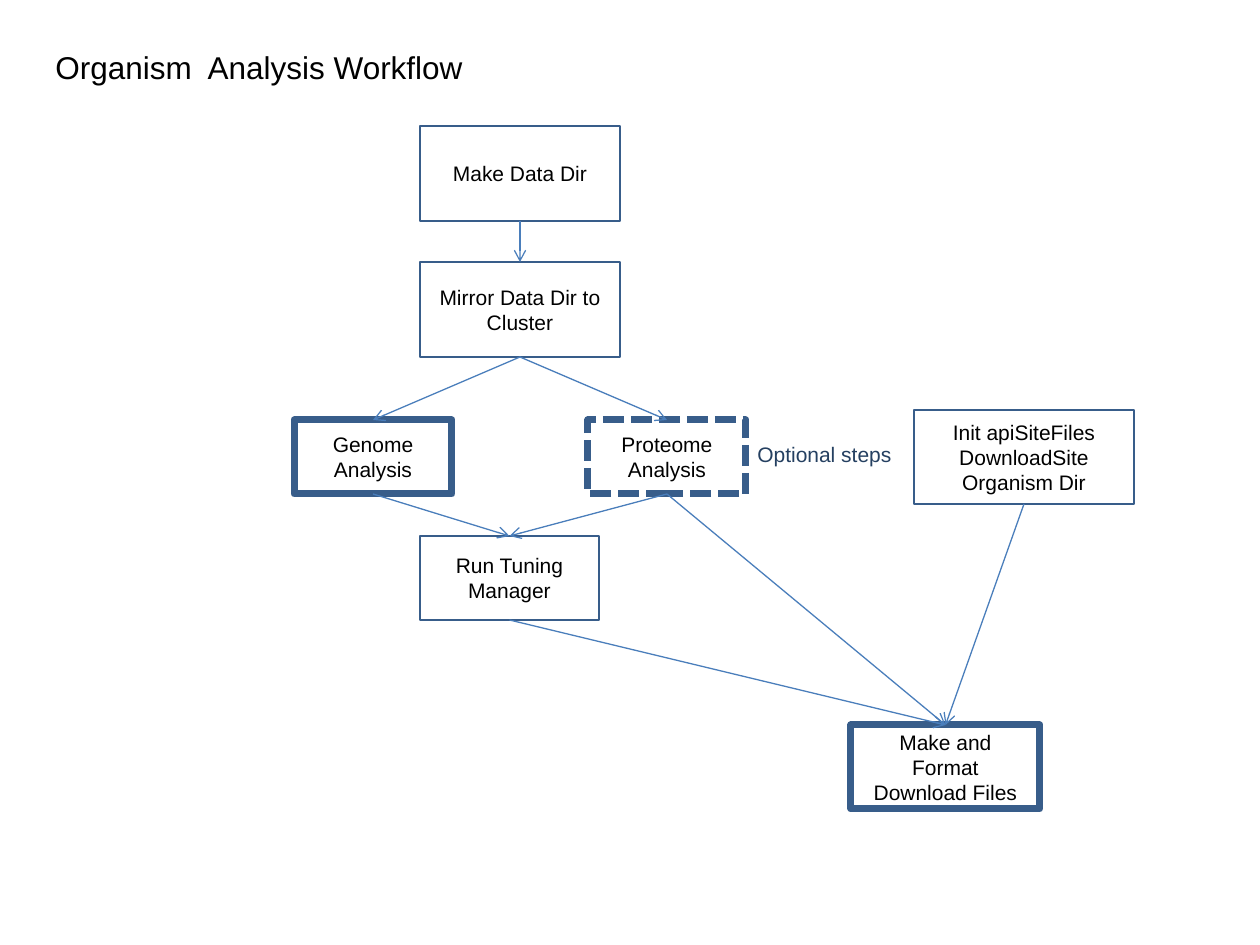
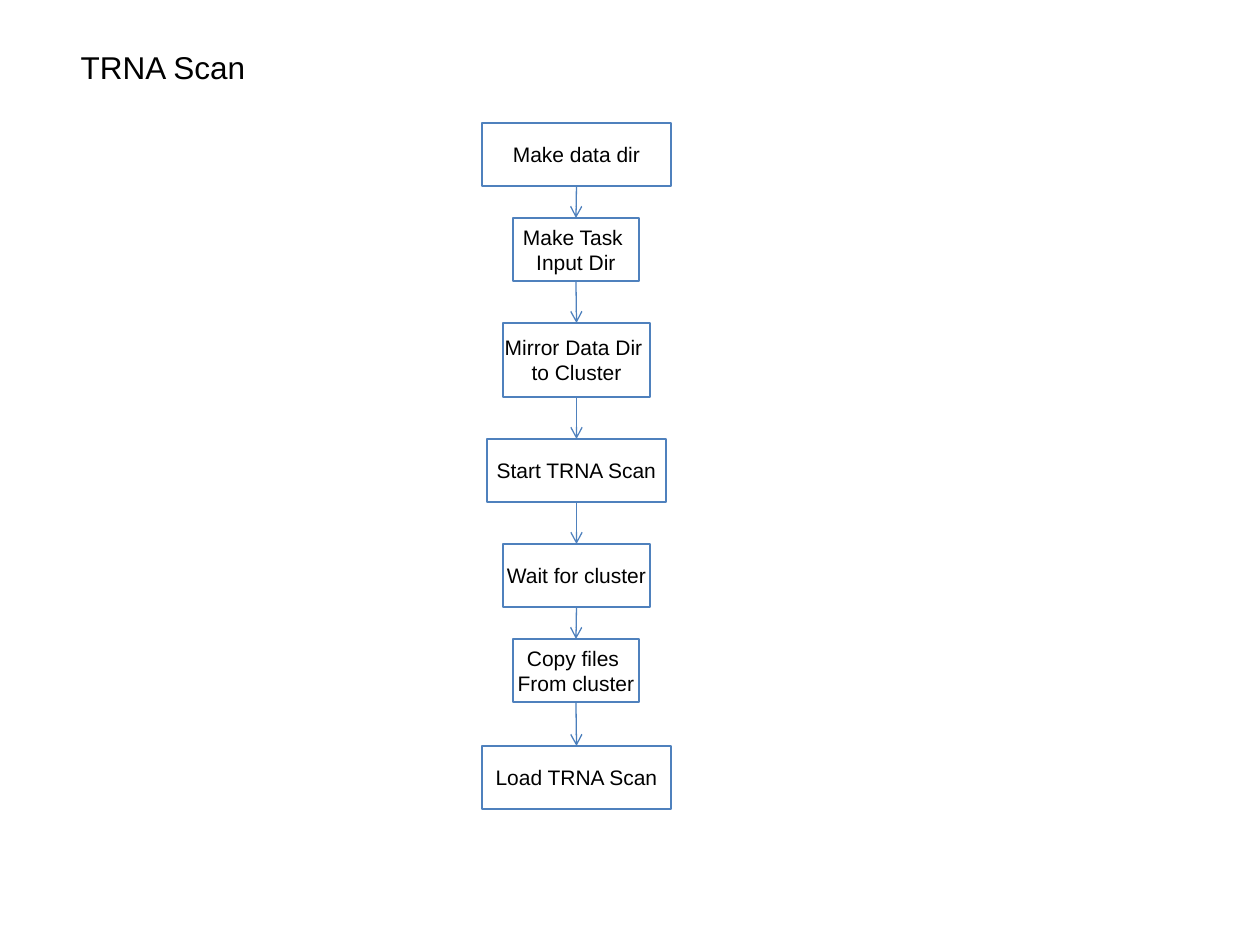
"""Build the organism analysis workflow and TRNA scan flowcharts."""
from dataclasses import dataclass
from typing import Any

from lxml.etree import SubElement
from pptx import Presentation
from pptx.dml.color import RGBColor
from pptx.enum.dml import MSO_LINE
from pptx.enum.shapes import MSO_CONNECTOR as Conn, MSO_SHAPE as Shape
from pptx.enum.text import MSO_ANCHOR as Anchor, MSO_AUTO_SIZE as AutoSize, PP_ALIGN as Align
from pptx.oxml.ns import qn
from pptx.util import Emu, Pt

EMU_PER_INCH = 914400
PX_PER_INCH = 126
BLACK = RGBColor(0x00, 0x00, 0x00)
WHITE = RGBColor(0xFF, 0xFF, 0xFF)
NAVY = RGBColor(0x25, 0x40, 0x61)
BOX_LINE = RGBColor(0x38, 0x5D, 0x8A)
ARROW = RGBColor(0x4A, 0x7E, 0xBB)
STEP_LINE = RGBColor(0x4F, 0x81, 0xBD)
TOP, BOTTOM = 0, 2
BODY = {"name": "Arial", "size": Pt(12)}
HEADING = {"name": "Arial", "size": Pt(18)}
STEP_CENTER = 576
FIRST_STEP_TOP = 123


@dataclass(frozen=True)
class Box:
    text: str
    left: int
    top: int
    width: int
    height: int
    weight: float = 1
    line: RGBColor = BOX_LINE
    fill: RGBColor | None = None
    dashed: bool = False
    wrap: bool = True


@dataclass(frozen=True)
class Label:
    text: str
    left: int
    top: int
    width: int
    height: int
    font: dict[str, Any]
    color: RGBColor = BLACK
    align: Align = Align.CENTER
    anchor: Anchor = Anchor.TOP
    wrap: bool = True


@dataclass(frozen=True)
class Step:
    text: str
    width: int
    height: int = 63
    gap: int = 42
    arrow: RGBColor = STEP_LINE


WORKFLOW = {
    "data": Box("Make Data Dir", 420, 126, 200, 95),
    "mirror": Box("Mirror Data Dir to Cluster", 420, 262, 200, 95),
    "genome": Box("Genome Analysis", 294, 420, 158, 74, weight=4),
    "proteome": Box("Proteome Analysis", 588, 420, 158, 74, weight=4, dashed=True),
    "init": Box("Init apiSiteFiles DownloadSite Organism Dir", 914, 410, 220, 94, fill=WHITE),
    "tuning": Box("Run Tuning Manager", 420, 536, 179, 84, fill=WHITE),
    "download": Box("Make and Format Download Files", 851, 725, 189, 84, weight=4),
}
WORKFLOW_ARROWS = [
    ("data", "mirror"),
    ("mirror", "genome"),
    ("mirror", "proteome"),
    ("genome", "tuning"),
    ("proteome", "tuning"),
    ("proteome", "download"),
    ("init", "download"),
    ("tuning", "download"),
]
WORKFLOW_LABELS = [
    Label("Organism  Analysis Workflow", 43, 42, 435, 50, HEADING, align=Align.LEFT, wrap=False),
    Label("Optional steps", 735, 435, 179, 38, BODY, NAVY),
]
SCAN_TITLE = Label("TRNA Scan", 21, 38, 284, 57, HEADING, anchor=Anchor.MIDDLE)
SCAN_STEPS = [
    Step("Make data dir", 189, gap=0),
    Step("Make Task \nInput Dir", 126, gap=32),
    Step("Mirror Data Dir \nto Cluster", 147, height=74),
    Step("Start TRNA Scan", 179),
    Step("Wait for cluster", 147),
    Step("Copy files \nFrom cluster", 126, gap=32),
    Step("Load TRNA Scan", 189, gap=44, arrow=ARROW),
]


def px(n: int) -> Emu:
    """Turn px into EMU."""
    return Emu(round(n * EMU_PER_INCH / PX_PER_INCH))


def frame(item: Box | Label) -> list[Emu]:
    """Give the left, top, width and height of an item."""
    return [px(n) for n in (item.left, item.top, item.width, item.height)]


def assign(target: Any, values: dict[str, Any]) -> None:
    """Set each named attribute of the target."""
    for name, value in values.items():
        setattr(target, name, value)


def write(sp: Any, text: str, font: dict[str, Any], color: RGBColor,
          align: Align, layout: dict[str, Any]) -> None:
    """Fill a shape with one paragraph for each line of text."""
    tf = sp.text_frame
    assign(tf, layout)
    for i, line in enumerate(text.split("\n")):
        p = tf.add_paragraph() if i else tf.paragraphs[0]
        p.alignment = align
        r = p.add_run()
        r.text = line
        assign(r.font, font)
        r.font.color.rgb = color


def add_box(s: Any, box: Box) -> Any:
    """Draw an outlined rectangle with centred text."""
    sp = s.shapes.add_shape(Shape.RECTANGLE, *frame(box))
    sp.shadow.inherit = False
    if box.fill is None:
        sp.fill.background()
    else:
        sp.fill.solid()
        sp.fill.fore_color.rgb = box.fill
    sp.line.color.rgb = box.line
    sp.line.width = Pt(box.weight)
    if box.dashed:
        sp.line.dash_style = MSO_LINE.SQUARE_DOT
    write(sp, box.text, BODY, BLACK, Align.CENTER,
          {"word_wrap": box.wrap, "vertical_anchor": Anchor.MIDDLE})
    return sp


def add_label(s: Any, label: Label) -> None:
    """Draw a title or a free-standing caption."""
    sp = s.shapes.add_textbox(*frame(label))
    fit = AutoSize.SHAPE_TO_FIT_TEXT if label.anchor == Anchor.TOP else AutoSize.NONE
    write(sp, label.text, label.font, label.color, label.align,
          {"word_wrap": label.wrap, "vertical_anchor": label.anchor, "auto_size": fit})


def add_arrow(s: Any, start: Any, end: Any, color: RGBColor = ARROW) -> None:
    """Join the bottom of one box to the top of another."""
    cx = s.shapes.add_connector(Conn.STRAIGHT, 0, 0, 0, 0)
    cx.begin_connect(start, BOTTOM)
    cx.end_connect(end, TOP)
    cx.line.color.rgb = color
    cx.line.width = Pt(0.75)
    SubElement(cx.line._get_or_add_ln(), qn("a:tailEnd"), type="arrow")
    SubElement(cx._element.spPr, qn("a:effectLst"))


def add_workflow(s: Any) -> None:
    """Draw the organism analysis workflow."""
    boxes = {key: add_box(s, box) for key, box in WORKFLOW.items()}
    for start, end in WORKFLOW_ARROWS:
        add_arrow(s, boxes[start], boxes[end])
    for label in WORKFLOW_LABELS:
        add_label(s, label)


def add_scan(s: Any) -> None:
    """Draw the TRNA scan as a column of centred steps."""
    add_label(s, SCAN_TITLE)
    top, previous = FIRST_STEP_TOP, None
    for step in SCAN_STEPS:
        top += step.gap
        sp = add_box(s, Box(step.text, STEP_CENTER - step.width // 2, top, step.width,
                            step.height, weight=0.75, line=STEP_LINE, wrap=False))
        if previous is not None:
            add_arrow(s, previous, sp, step.arrow)
        top, previous = top + step.height, sp


def main() -> None:
    """Build and save both slides."""
    prs = Presentation()
    assign(prs, {"slide_width": px(1260), "slide_height": px(945)})
    for draw in (add_workflow, add_scan):
        draw(prs.slides.add_slide(prs.slide_layouts[6]))
    prs.save("out.pptx")


if __name__ == "__main__":
    main()
